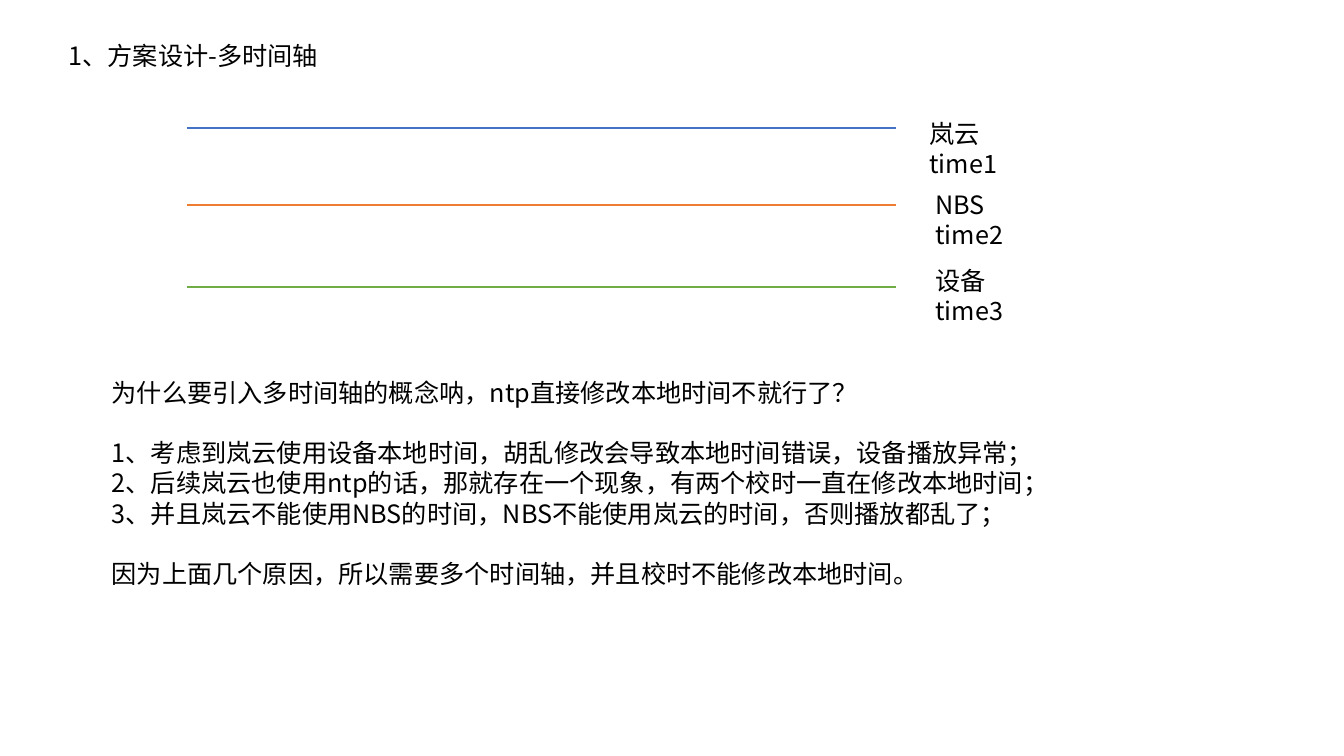
"""Build the multi-timeline design slide."""
from dataclasses import dataclass

from lxml import etree
from pptx import Presentation
from pptx.dml.color import RGBColor
from pptx.enum.shapes import MSO_CONNECTOR
from pptx.enum.text import MSO_ANCHOR, MSO_AUTO_SIZE, PP_ALIGN
from pptx.oxml.ns import qn
from pptx.shapes.autoshape import Shape
from pptx.slide import Slide
from pptx.util import Inches, Pt

STRAIGHT = MSO_CONNECTOR.STRAIGHT
TOP = MSO_ANCHOR.TOP
LEFT = PP_ALIGN.LEFT
GROW = MSO_AUTO_SIZE.SHAPE_TO_FIT_TEXT
TITLE_ONLY = 5


@dataclass(frozen=True)
class Theme:
    font: str = "Noto Sans CJK SC"
    size: float = 18
    leading: float = 21.6
    line_width: float = 1.5
    text: str = "000000"
    blue: str = "4472C4"
    orange: str = "ED7D31"
    green: str = "70AD47"


@dataclass(frozen=True)
class Box:
    left: float
    top: float
    width: float
    height: float


@dataclass(frozen=True)
class Timeline:
    y: float
    color: str
    label: str
    label_box: Box


THEME = Theme()
LINE_START, LINE_END = 1.85, 8.89
TITLE = "1、方案设计-多时间轴"
TITLE_BOX = Box(0.58, 0.35, 2.73, 0.4)
BODY_BOX = Box(1.01, 3.69, 9.64, 2.22)
BODY_GROUPS = [
    ["为什么要引入多时间轴的概念呐，ntp直接修改本地时间不就行了？"],
    [
        "1、考虑到岚云使用设备本地时间，胡乱修改会导致本地时间错误，设备播放异常；",
        "2、后续岚云也使用ntp的话，那就存在一个现象，有两个校时一直在修改本地时间；",
        "3、并且岚云不能使用NBS的时间，NBS不能使用岚云的时间，否则播放都乱了；",
    ],
    ["因为上面几个原因，所以需要多个时间轴，并且校时不能修改本地时间。"],
]
TIMELINES = [
    Timeline(1.27, THEME.blue, "岚云 time1", Box(9.12, 1.12, 1.39, 0.4)),
    Timeline(2.03, THEME.orange, "NBS time2", Box(9.18, 1.83, 1.34, 0.4)),
    Timeline(2.85, THEME.green, "设备 time3", Box(9.18, 2.58, 1.39, 0.4)),
]


def fill_text(sp: Shape, box: Box, groups: list[list[str]]) -> None:
    """Place a text shape and write its groups, a line's gap between them."""
    sp.left, sp.top = Inches(box.left), Inches(box.top)
    sp.width, sp.height = Inches(box.width), Inches(box.height)
    tf = sp.text_frame
    tf.word_wrap = True
    tf.auto_size = GROW
    tf.vertical_anchor = TOP
    lines = [(i, j, text) for i, group in enumerate(groups) for j, text in enumerate(group)]
    tf.text = "\n".join(text for _, _, text in lines)
    for p, (i, j, _) in zip(tf.paragraphs, lines):
        p.alignment = LEFT
        p.line_spacing = Pt(THEME.leading)
        p.space_before = Pt(THEME.leading if i and not j else 0)
        p.font.name = THEME.font
        p.font.size = Pt(THEME.size)
        p.font.color.rgb = RGBColor.from_string(THEME.text)
        props = p._p.pPr.find(qn("a:defRPr"))
        etree.SubElement(props, qn("a:ea"), typeface=THEME.font)


def add_text(s: Slide, box: Box, groups: list[list[str]]) -> None:
    """Add a text box with the given groups of lines."""
    fill_text(s.shapes.add_textbox(0, 0, 0, 0), box, groups)


def add_timeline(s: Slide, timeline: Timeline) -> None:
    """Draw one horizontal timeline and its label."""
    y = Inches(timeline.y)
    line = s.shapes.add_connector(STRAIGHT, Inches(LINE_START), y, Inches(LINE_END), y)
    line.line.color.rgb = RGBColor.from_string(timeline.color)
    line.line.width = Pt(THEME.line_width)
    etree.SubElement(line._element.spPr, qn("a:effectLst"))
    add_text(s, timeline.label_box, [[timeline.label]])


def main() -> None:
    """Create the slide and save it."""
    prs = Presentation()
    prs.slide_width, prs.slide_height = Inches(13.33), Inches(7.5)
    s = prs.slides.add_slide(prs.slide_layouts[TITLE_ONLY])
    fill_text(s.shapes.title, TITLE_BOX, [[TITLE]])
    add_text(s, BODY_BOX, BODY_GROUPS)
    for timeline in TIMELINES:
        add_timeline(s, timeline)
    prs.save("out.pptx")


if __name__ == "__main__":
    main()
